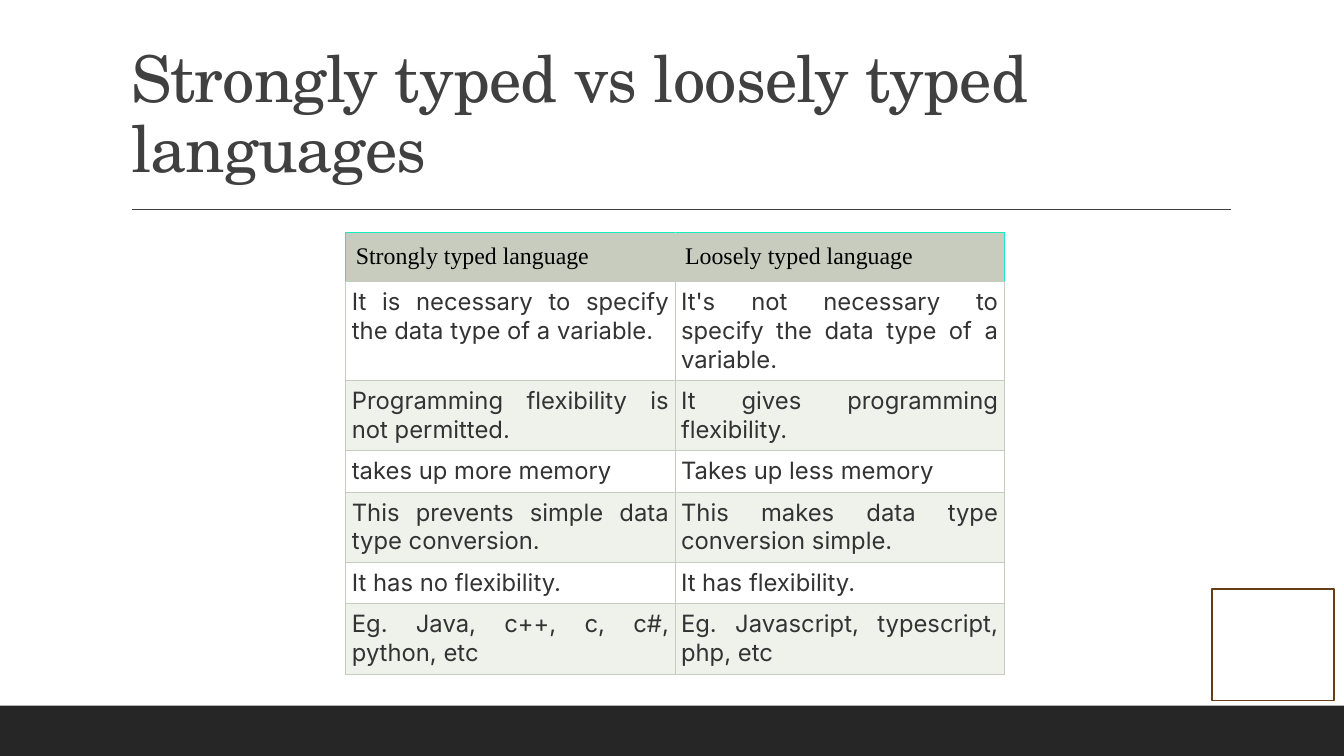
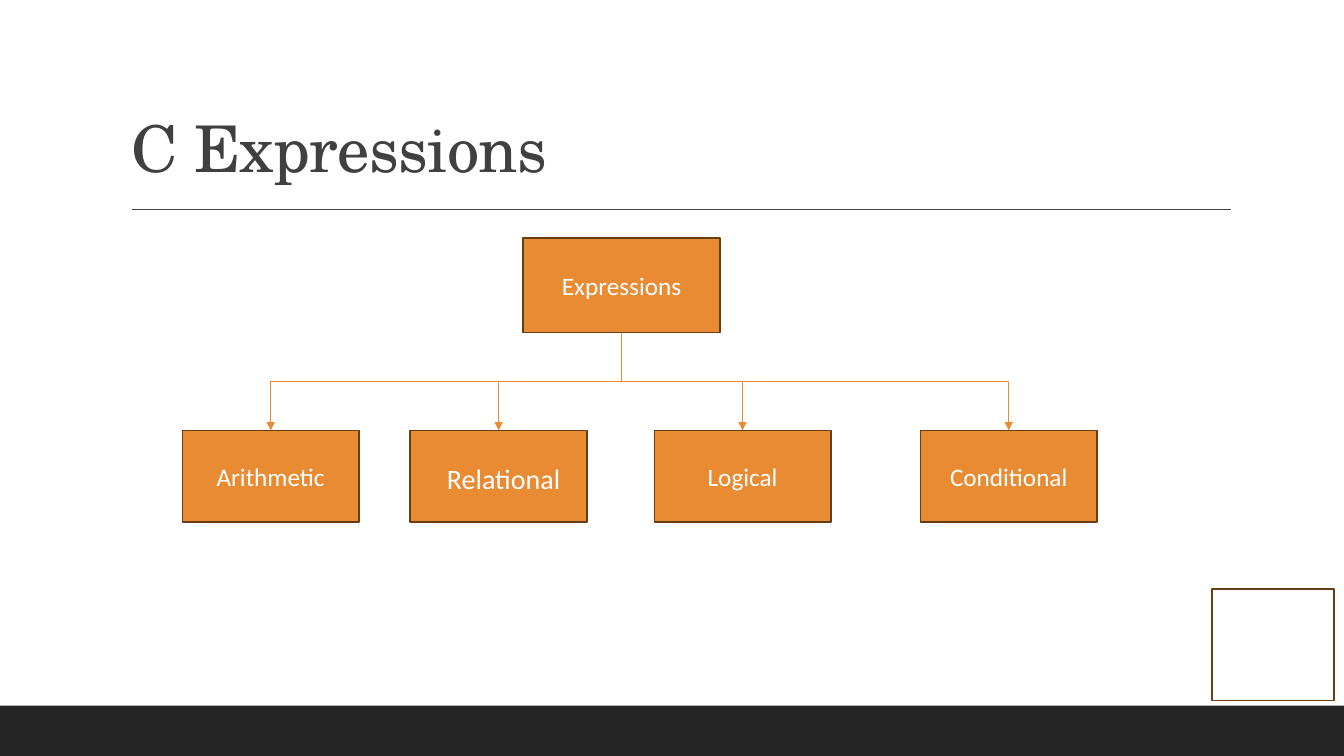
from lxml.etree import SubElement
from pptx import Presentation
from pptx.dml.color import RGBColor
from pptx.enum.shapes import MSO_CONNECTOR as CXN, MSO_SHAPE as SHAPE
from pptx.enum.text import MSO_ANCHOR as ANCHOR, MSO_AUTO_SIZE as FIT, PP_ALIGN as ALIGN
from pptx.oxml.ns import qn
from pptx.util import Inches, Pt

# Content
TABLE_TITLE = "Strongly typed vs loosely typed languages"
TABLE_ROWS = [  # lines of text the row is sized for, left cell, right cell
    (1, "Strongly typed language", "Loosely typed language"),
    (2, "It is necessary to specify the data type of a variable.",
     "It's not necessary to specify the data type of a variable."),
    (2, "Programming flexibility is not permitted.", "It gives programming flexibility."),
    (1, "takes up more memory", "Takes up less memory"),
    (2, "This prevents simple data type conversion.",
     "This makes data type conversion simple."),
    (1, "It has no flexibility.", "It has flexibility."),
    (2, "Eg. Java, c++, c, c#, python, etc", "Eg. Javascript, typescript, php, etc"),
]
TREE_TITLE = "C Expressions"
TREE_ROOT = "Expressions"
TREE_LEAVES = [("Arithmetic", 1.81), ("Relational", 4.07),  # name, left edge
               ("Logical", 6.49), ("Conditional", 9.13)]
BODY_LEAF = "Relational"  # held by the body placeholder

# Theme
WHITE, BLACK = RGBColor(0xFF, 0xFF, 0xFF), RGBColor(0, 0, 0)
BAND, INK = RGBColor(0x26, 0x26, 0x26), RGBColor(0x40, 0x40, 0x40)
ORANGE, BROWN = RGBColor(0xE8, 0x8B, 0x33), RGBColor(0x66, 0x3D, 0x16)
SAGE, PALE = RGBColor(0xC7, 0xCC, 0xBE), RGBColor(0xEF, 0xF1, 0xEB)
TEAL, CELL_INK = RGBColor(0x18, 0xEE, 0xBD), RGBColor(0x33, 0x33, 0x33)
TITLE_FONT, BOX_FONT = "TeX Gyre Schola", "Calibri"
HEAD_FONT, CELL_FONT = "Times New Roman", "Inter"
SLIDE_W, SLIDE_H, BAND_H = 13.33, 7.5, 0.5


def place(sp, x, y, w, h):
    sp.left, sp.top, sp.width, sp.height = (Inches(v) for v in (x, y, w, h))


def style_text(p, font, size, color, align):
    p.alignment = align
    for r in p.runs:
        r.font.name, r.font.size = font, Pt(size)
        r.font.color.rgb = color


def style_line(line, color, width):
    line.color.rgb, line.width = color, Pt(width)


def add_rect(s, x, y, w, h):
    sp = s.shapes.add_shape(SHAPE.RECTANGLE, *(Inches(v) for v in (x, y, w, h)))
    sp.shadow.inherit = False
    return sp


def add_line(s, kind, x1, y1, x2, y2, color):
    c = s.shapes.add_connector(kind, x1, y1, x2, y2)
    style_line(c.line, color, 1)
    SubElement(c.element.spPr, qn("a:effectLst"))
    return c


def set_up_layout(s):
    """Draw the shared band, rule and corner frame, then move them to the layout."""
    band = add_rect(s, 0, SLIDE_H - BAND_H, SLIDE_W, BAND_H)
    band.fill.solid()
    band.fill.fore_color.rgb = BAND
    band.line.fill.background()
    rule = add_line(s, CXN.STRAIGHT, Inches(1.31), Inches(2.08),
                    Inches(12.21), Inches(2.08), INK)
    frame = add_rect(s, 12.02, 5.84, 1.21, 1.11)
    frame.fill.background()
    style_line(frame.line, BROWN, 1.25)
    tree = s.slide_layout.shapes.element
    for i, part in enumerate((band, rule, frame)):
        tree.insert(2 + i, part.element)


def set_title(s, text):
    title = s.shapes.title
    place(title, 1.2, 0.31, 11, 1.59)
    tf = title.text_frame
    tf.text = text
    tf.auto_size, tf.vertical_anchor = FIT.NONE, ANCHOR.BOTTOM
    p = tf.paragraphs[0]
    p.line_spacing = 0.9
    style_text(p, TITLE_FONT, 46, INK, ALIGN.LEFT)
    p.runs[0].font._element.set("spc", "-50")


def set_border(cell, side, color):
    ln = SubElement(cell._tc.get_or_add_tcPr(), qn(f"a:ln{side}"), w=str(Pt(0.6)))
    fill = SubElement(ln, qn("a:solidFill"))
    SubElement(fill, qn("a:srgbClr"), val=str(color))


def fill_cell(cell, text, row, col):
    head = row == 0
    outer = ("L" if col == 0 else "R", "T")
    for side in "LRTB":
        set_border(cell, side, TEAL if head and side in outer else SAGE)
    cell.fill.solid()
    cell.fill.fore_color.rgb = SAGE if head else WHITE if row % 2 else PALE
    inset = Inches(0.1 if head else 0.06)
    cell.margin_left = cell.margin_right = cell.margin_top = cell.margin_bottom = inset
    cell.text_frame.text = text
    style = (HEAD_FONT, 17, BLACK, ALIGN.LEFT) if head else (CELL_FONT, 17, CELL_INK, ALIGN.JUSTIFY)
    style_text(cell.text_frame.paragraphs[0], *style)


def build_table(s):
    heights = [0.48] + [{1: 0.41, 2: 0.7}[n] for n, *_ in TABLE_ROWS[1:]]
    table = s.shapes.add_table(len(TABLE_ROWS), 2, Inches(3.43), Inches(2.31),
                               Inches(6.53), Inches(sum(heights))).table
    table.first_row = table.horz_banding = False
    for row, (height, (_, *texts)) in enumerate(zip(heights, TABLE_ROWS)):
        table.rows[row].height = Inches(height)
        for col, text in enumerate(texts):
            fill_cell(table.cell(row, col), text, row, col)


def style_box(sp, text, size=18):
    sp.fill.solid()
    sp.fill.fore_color.rgb = ORANGE
    style_line(sp.line, BROWN, 1.25)
    tf = sp.text_frame
    tf.text = text
    tf.word_wrap, tf.auto_size, tf.vertical_anchor = True, FIT.NONE, ANCHOR.MIDDLE
    style_text(tf.paragraphs[0], BOX_FONT, size, WHITE, ALIGN.CENTER)


def style_body_box(sp, text):
    """The body placeholder keeps list spacing and a blank bullet."""
    style_box(sp, text, 20)
    tf = sp.text_frame
    tf.margin_left = tf.margin_right = 0
    p = tf.paragraphs[0]
    p.line_spacing, p.space_before, p.space_after = 1.1, Pt(12), Pt(2)
    pPr = p._p.get_or_add_pPr()
    pPr.set("marL", str(Inches(0.1)))
    pPr.set("indent", str(-Inches(0.1)))
    SubElement(pPr, qn("a:buChar"), char=" ")


def join_boxes(s, root, leaf):
    """Elbow arrow leaving the root downwards, so its frame is turned a quarter."""
    x1, y1 = root.left + root.width // 2, root.top + root.height
    x2, y2 = leaf.left + leaf.width // 2, leaf.top
    c = add_line(s, CXN.ELBOW, x1, y1, x2, y2, ORANGE)
    c.begin_connect(root, 2)
    c.end_connect(leaf, 0)
    drop, reach = y2 - y1, abs(x2 - x1)
    c.left, c.top = (x1 + x2 - drop) // 2, (y1 + y2 - reach) // 2
    c.width, c.height = drop, reach
    xfrm = c.element.spPr.find(qn("a:xfrm"))
    to_right = x2 > x1
    xfrm.set("rot", str((270 if to_right else 90) * 60000))
    xfrm.set("flipH", "1" if to_right else "0")
    SubElement(c.line._get_or_add_ln(), qn("a:tailEnd"), type="triangle")


def build_tree(s):
    root = add_rect(s, 5.19, 2.36, 1.95, 0.94)
    style_box(root, TREE_ROOT)
    leaves = []
    for name, x in TREE_LEAVES:
        spot = (x, 4.27, 1.75, 0.91)
        if name == BODY_LEAF:
            leaf = s.placeholders[1]
            place(leaf, *spot)
            style_body_box(leaf, name)
        else:
            leaf = add_rect(s, *spot)
            style_box(leaf, name)
        leaves.append(leaf)
    for leaf in leaves:
        join_boxes(s, root, leaf)


def main():
    prs = Presentation()
    prs.slide_width, prs.slide_height = Inches(SLIDE_W), Inches(SLIDE_H)
    layout = prs.slide_layouts[1]

    # Comparison table
    s = prs.slides.add_slide(layout)
    set_up_layout(s)
    set_title(s, TABLE_TITLE)
    body = s.placeholders[1].element
    body.getparent().remove(body)
    build_table(s)

    # Expression tree
    s = prs.slides.add_slide(layout)
    set_title(s, TREE_TITLE)
    build_tree(s)

    prs.save("out.pptx")


if __name__ == "__main__":
    main()
